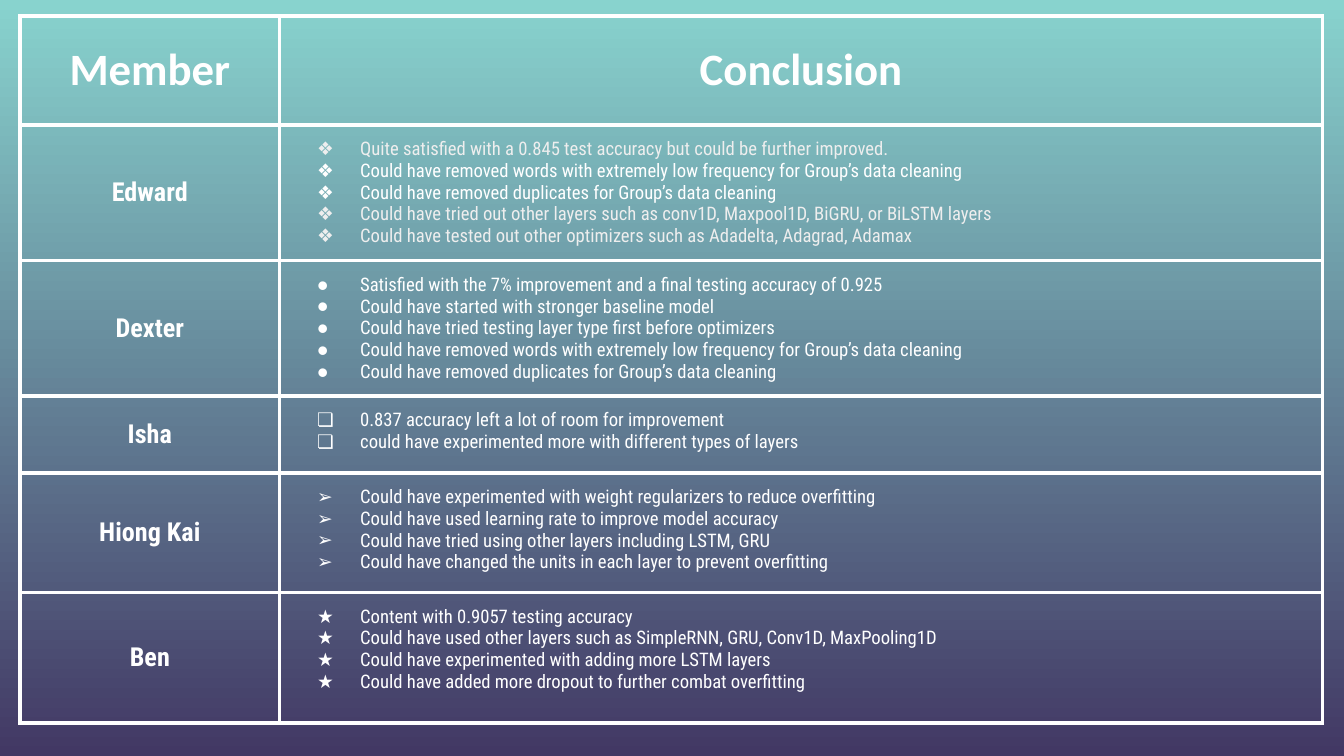
from lxml.etree import SubElement as Sub
from pptx import Presentation
from pptx.dml.color import RGBColor
from pptx.enum.text import MSO_ANCHOR as Anchor, PP_ALIGN as Align
from pptx.oxml.ns import qn
from pptx.util import Inches, Pt

WHITE, GREY = "FFFFFF", "EEEEEE"
BODY, TITLE = "Roboto Condensed", "Calibri"
HEAD = {"size": Pt(24), "name": TITLE, "bold": True}
NAME = {"size": Pt(14), "name": BODY, "bold": True}
ITEM = {"size": Pt(10), "name": BODY, "bold": False}

WORDS = "Could have removed words with extremely low frequency for Group’s data cleaning"
DUPES = "Could have removed duplicates for Group’s data cleaning"
# Member, row height, bullet, bullet font, conclusions
members = [
    ("Edward", 0.89, "❖", BODY, [
        "Quite satisfied with a 0.845 test accuracy but could be further improved.",
        WORDS,
        DUPES,
        "Could have tried out other layers such as conv1D, Maxpool1D, BiGRU, or BiLSTM layers",
        "Could have tested out other optimizers such as Adadelta, Adagrad, Adamax"]),
    ("Dexter", 0.89, "●", TITLE, [
        "Satisfied with the 7% improvement and a final testing accuracy of 0.925",
        "Could have started with stronger baseline model",
        "Could have tried testing layer type first before optimizers",
        WORDS,
        DUPES]),
    ("Isha", 0.57, "❏", BODY, [
        "0.837 accuracy left a lot of room for improvement",
        "could have experimented more with different types of layers"]),
    ("Hiong Kai", 0.89, "➢", BODY, [
        "Could have experimented with weight regularizers to reduce overfitting",
        "Could have used learning rate to improve model accuracy",
        "Could have tried using other layers including LSTM, GRU",
        "Could have changed the units in each layer to prevent overfitting"]),
    ("Ben", 0.97, "★", BODY, [
        "Content with 0.9057 testing accuracy",
        "Could have used other layers such as SimpleRNN, GRU, Conv1D, MaxPooling1D",
        "Could have experimented with adding more LSTM layers",
        "Could have added more dropout to further combat overfitting"]),
]


def rgb(code):
    return RGBColor.from_string(code)


def write(para, text, style, color=WHITE):
    run = para.add_run()
    run.text = text
    for key, value in style.items():
        setattr(run.font, key, value)
    run.font.color.rgb = rgb(color)


deck = Presentation()
deck.slide_width, deck.slide_height = Inches(10), Inches(10 * 9 / 16)
slide = deck.slides.add_slide(deck.slide_layouts[6])

back = slide.background.fill
back.gradient()
back.gradient_angle = 270
for stop, color in zip(back.gradient_stops, ("88D3CE", "423864")):
    stop.color.rgb = rgb(color)

widths = [1.93, 7.76]
heights = [0.81] + [member[1] for member in members]
table = slide.shapes.add_table(
    len(heights), len(widths), Inches(0.15), Inches(0.12),
    Inches(sum(widths)), Inches(sum(heights))).table
table.first_row = table.horz_banding = False
for col, width in zip(table.columns, widths):
    col.width = Inches(width)
for row, height in zip(table.rows, heights):
    row.height = Inches(height)

for cell in table.iter_cells():
    props = cell._tc.get_or_add_tcPr()
    for side in ("lnL", "lnR", "lnT", "lnB"):
        line = Sub(props, qn("a:" + side), w=str(Pt(2.25)))
        Sub(Sub(line, qn("a:solidFill")), qn("a:srgbClr"), val=WHITE)
    cell.fill.background()
    for side in ("left", "right", "top", "bottom"):
        setattr(cell, "margin_" + side, Inches(0.1))

# Centred cells: the header row and the member names
labels = [(0, 0, "Member", HEAD), (0, 1, "Conclusion", HEAD)]
labels += [(r, 0, member[0], NAME) for r, member in enumerate(members, 1)]
for r, c, text, style in labels:
    cell = table.cell(r, c)
    cell.vertical_anchor = Anchor.MIDDLE
    para = cell.text_frame.paragraphs[0]
    para.alignment = Align.CENTER
    write(para, text, style)

# Bulleted conclusions; Edward's own points are a shade darker
for r, (name, height, mark, face, points) in enumerate(members, 1):
    frame = table.cell(r, 1).text_frame
    for i, point in enumerate(points):
        para = frame.add_paragraph() if i else frame.paragraphs[0]
        own = name == "Edward" and point not in (WORDS, DUPES)
        color = GREY if own else WHITE
        props = para._p.get_or_add_pPr()
        props.set("marL", str(Inches(0.5)))
        props.set("indent", str(Inches(-0.32)))
        Sub(Sub(props, qn("a:buClr")), qn("a:srgbClr"), val=color)
        Sub(props, qn("a:buFont"), typeface=face)
        Sub(props, qn("a:buChar"), char=mark)
        write(para, point, ITEM, color)

deck.save("out.pptx")
